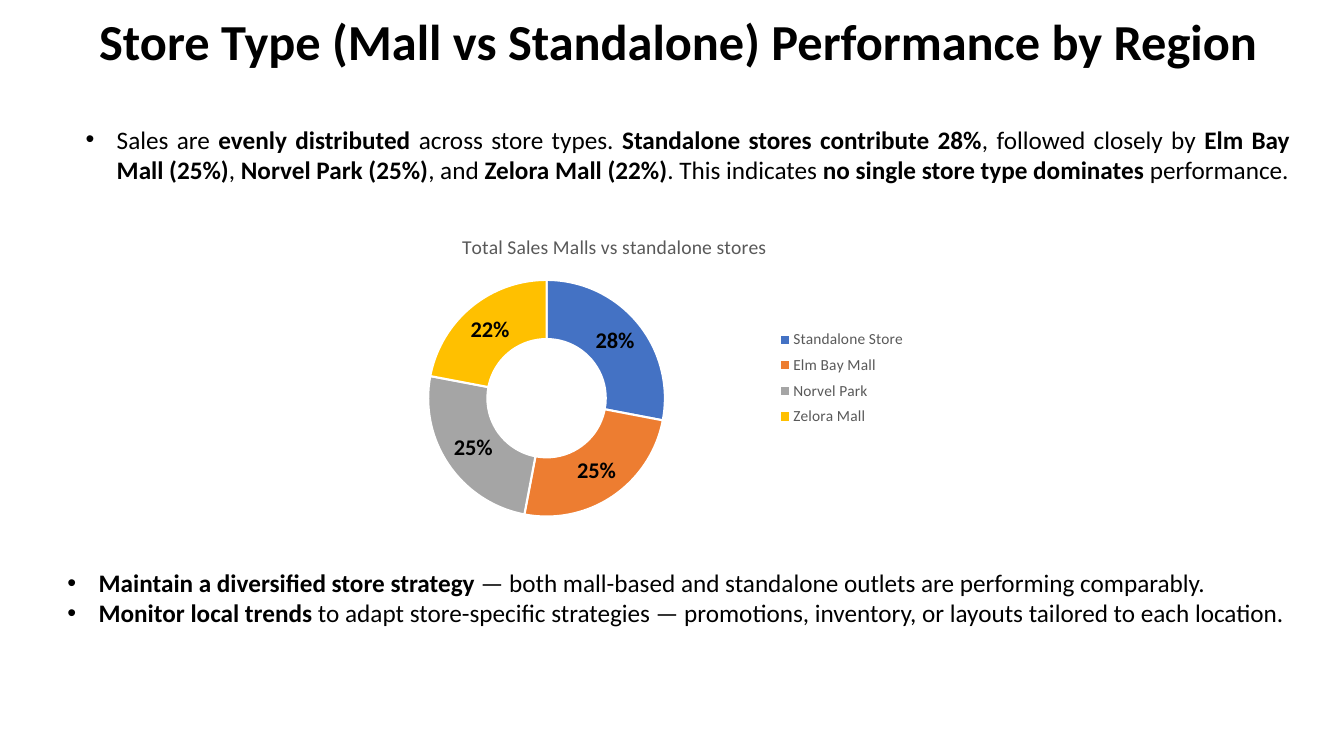
import pptx
import pptx.util
import pptx.chart.data
import pptx.dml.color
import pptx.enum.chart
import pptx.enum.text
import pptx.oxml.ns
from lxml import etree

Inches, Pt, qn = pptx.util.Inches, pptx.util.Pt, pptx.oxml.ns.qn
ALIGN = pptx.enum.text.PP_ALIGN
FONT, BLACK, GREY, WHITE = "Calibri", "000000", "595959", "FFFFFF"

TITLE = "Store Type (Mall vs Standalone) Performance by Region"
SUMMARY = [[
    ("Sales are ", False), ("evenly distributed", True), (" across store types. ", False),
    ("Standalone stores contribute 28%", True), (", followed closely by ", False),
    ("Elm Bay Mall (25%)", True), (", ", False), ("Norvel Park (25%)", True),
    (", and ", False), ("Zelora Mall (22%)", True), (". This indicates ", False),
    ("no single store type dominates", True), (" performance.", False),
]]
ACTIONS = [
    [("Maintain a diversified store strategy", True),
     (" — both mall-based and standalone outlets are performing comparably.", False)],
    [("Monitor local trends", True),
     (" to adapt store-specific strategies — promotions, inventory, or layouts "
      "tailored to each location.", False)],
]
STORES = [("Standalone Store", 28, "4472C4"), ("Elm Bay Mall", 25, "ED7D31"),
          ("Norvel Park", 25, "A5A5A5"), ("Zelora Mall", 22, "FFC000")]


def rgb(value):
    return pptx.dml.color.RGBColor.from_string(value)


def set_font(font, size, color=BLACK, bold=False):
    font.name = FONT
    font.size = Pt(size)
    font.bold = bold
    font.color.rgb = rgb(color)


def add_run(p, text, size, color=BLACK, bold=False):
    r = p.add_run()
    r.text = text
    set_font(r.font, size, color, bold)


def add_text_frame(slide, box):
    tf = slide.shapes.add_textbox(*map(Inches, box)).text_frame
    tf.word_wrap = True
    return tf


def add_title(slide, box):
    tf = add_text_frame(slide, box)
    tf.vertical_anchor = pptx.enum.text.MSO_ANCHOR.MIDDLE
    p = tf.paragraphs[0]
    p.alignment = ALIGN.CENTER
    p.line_spacing = 0.9
    add_run(p, TITLE, 36, bold=True)


def add_bullets(slide, box, items, alignment):
    tf = add_text_frame(slide, box)
    for i, runs in enumerate(items):
        p = tf.add_paragraph() if i else tf.paragraphs[0]
        p.alignment = alignment
        pPr = p._p.get_or_add_pPr()
        pPr.set("marL", str(Inches(0.31)))
        pPr.set("indent", str(-Inches(0.31)))
        etree.SubElement(pPr, qn("a:buFont")).set("typeface", "Arial")
        etree.SubElement(pPr, qn("a:buChar")).set("char", "•")
        for text, bold in runs:
            add_run(p, text, 18, bold=bold)


def set_layout(parent, inner=False, **fractions):
    for old in parent.findall(qn("c:layout")):
        parent.remove(old)
    layout = etree.Element(qn("c:layout"))
    manual = etree.SubElement(layout, qn("c:manualLayout"))
    if inner:
        etree.SubElement(manual, qn("c:layoutTarget")).set("val", "inner")
    for mode in ("xMode", "yMode"):
        etree.SubElement(manual, qn("c:" + mode)).set("val", "edge")
    for name, fraction in fractions.items():
        etree.SubElement(manual, qn("c:" + name)).set("val", str(fraction))
    overlay = parent.find(qn("c:overlay"))
    if overlay is None:
        parent.insert(0, layout)
    else:
        overlay.addprevious(layout)


def add_sales_chart(slide, box):
    data = pptx.chart.data.CategoryChartData()
    data.categories = [name for name, _, _ in STORES]
    data.add_series("Series 1", [share for _, share, _ in STORES])
    chart = slide.shapes.add_chart(
        pptx.enum.chart.XL_CHART_TYPE.DOUGHNUT, *map(Inches, box), data).chart
    set_font(chart.font, 10)

    chart.has_title = True
    title = chart.chart_title
    add_run(title.text_frame.paragraphs[0],
            "Total Sales Malls vs standalone stores", 14, GREY)
    title.include_in_layout = False
    set_layout(title._element, x=0.32, y=0.03)

    chart.has_legend = True
    legend = chart.legend
    legend.position = pptx.enum.chart.XL_LEGEND_POSITION.RIGHT
    legend.include_in_layout = False
    set_font(legend.font, 11, GREY)
    set_layout(legend._element, x=0.67, y=0.33, w=0.17, h=0.35)

    plot = chart.plots[0]
    plot.vary_by_categories = True
    set_layout(plot._element.getparent(), inner=True, x=0.28, y=0.19, w=0.28, h=0.76)
    for i, (_, _, color) in enumerate(STORES):
        fmt = plot.series[0].points[i].format
        fmt.fill.solid()
        fmt.fill.fore_color.rgb = rgb(color)
        fmt.line.color.rgb = rgb(WHITE)
        fmt.line.width = Pt(1.5)

    plot.has_data_labels = True
    labels = plot.data_labels
    labels.show_percentage = True
    labels.show_value = False
    labels.number_format = "0%"
    labels.number_format_is_linked = False
    set_font(labels.font, 16, bold=True)


def main():
    prs = pptx.Presentation()
    prs.slide_width, prs.slide_height = Inches(13.33), Inches(7.5)
    s = prs.slides.add_slide(prs.slide_layouts[6])
    add_title(s, (0.66, 0.12, 12.14, 0.64))
    add_bullets(s, (0.75, 1.18, 12.14, 1.32), SUMMARY, ALIGN.JUSTIFY)
    add_sales_chart(s, (1.75, 2.19, 8.74, 3.09))
    add_bullets(s, (0.57, 5.58, 12.32, 0.71), ACTIONS, ALIGN.LEFT)
    prs.save("out.pptx")


if __name__ == "__main__":
    main()
